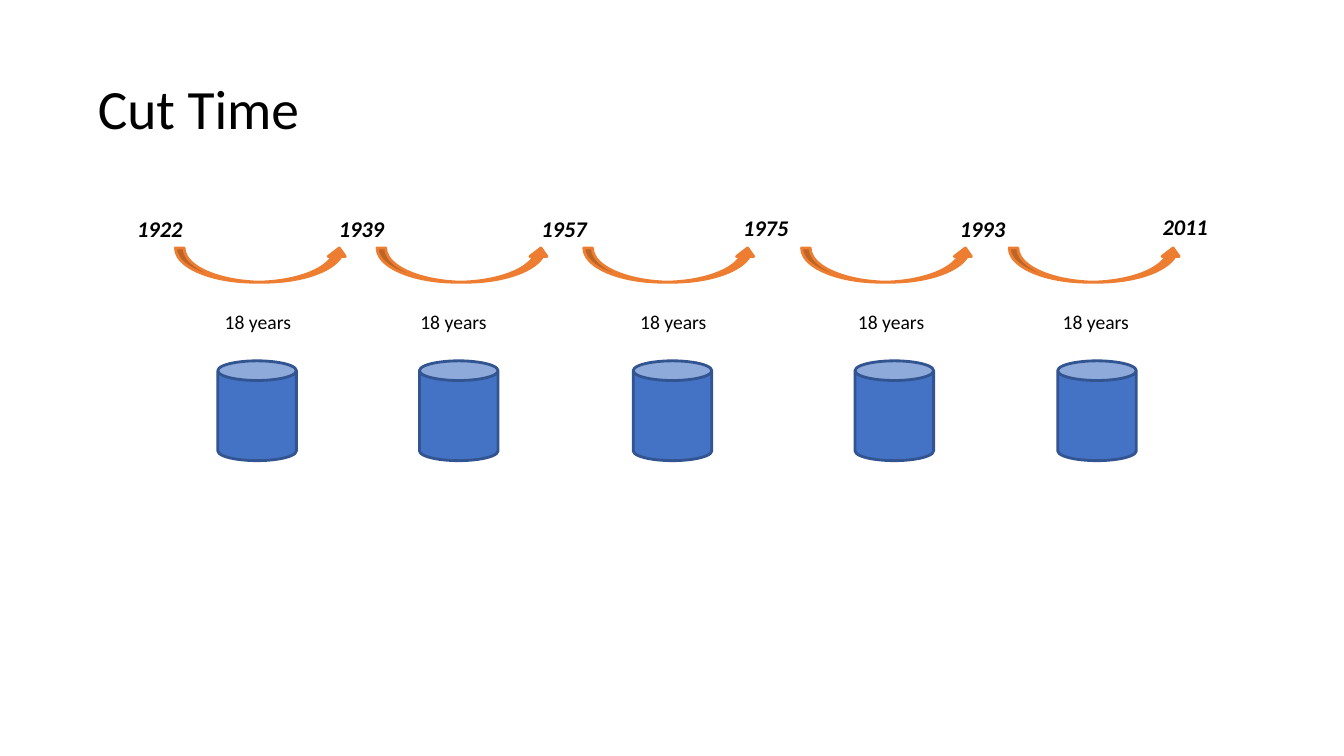
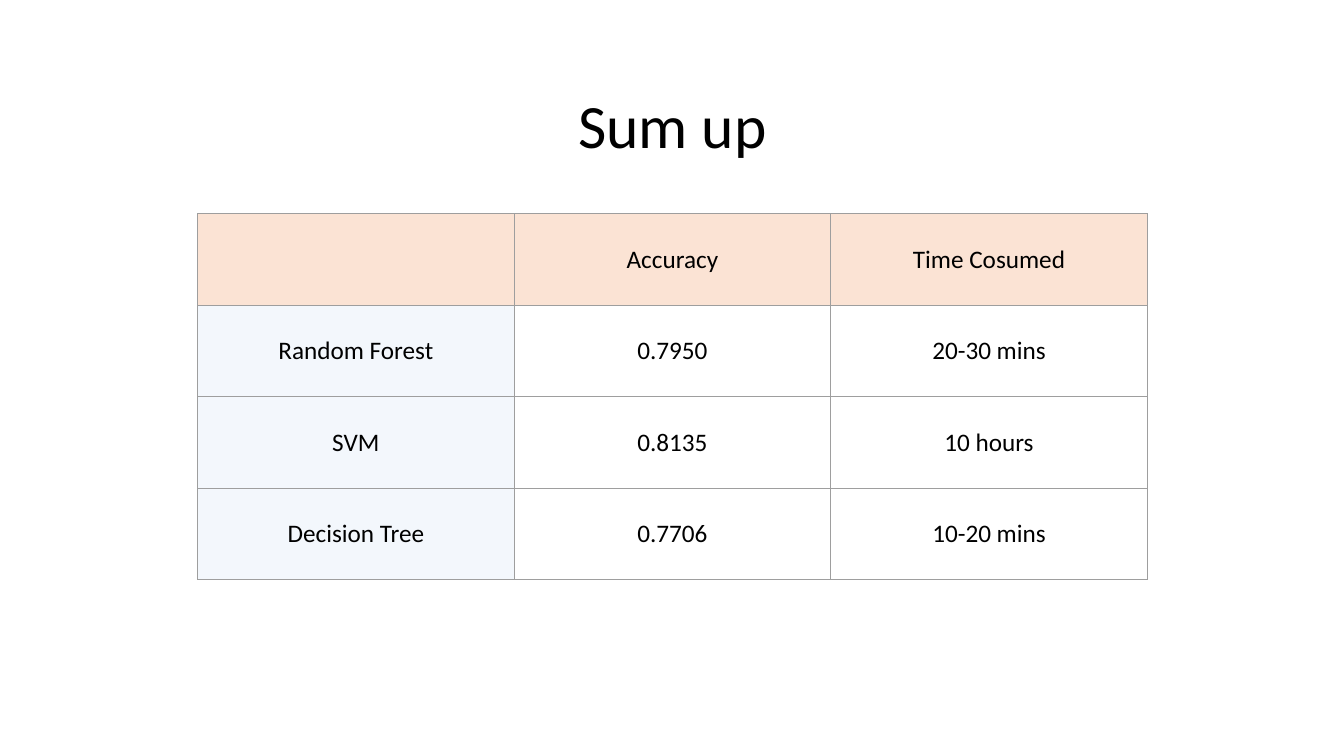
import pptx
import pptx.dml.color
import pptx.enum.shapes
import pptx.enum.text
import pptx.oxml
import pptx.util
from lxml import etree

Inches = pptx.util.Inches
Pt = pptx.util.Pt
MSO_SHAPE = pptx.enum.shapes.MSO_SHAPE
PP_ALIGN = pptx.enum.text.PP_ALIGN
MIDDLE = pptx.enum.text.MSO_ANCHOR.MIDDLE

FONT = "Calibri"
BLACK, ORANGE, BLUE, DARK_BLUE = "000000", "ED7D31", "4472C4", "325491"
PEACH, PALE_BLUE, GRID_GRAY = "F8CBAD", "DEEBF7", "9E9E9E"


def color(hex_value):
    return pptx.dml.color.RGBColor.from_string(hex_value)


def style_text(paragraph, text, size, align):
    paragraph.text = text
    paragraph.alignment = align
    paragraph.font.name = FONT
    paragraph.font.size = Pt(size)
    paragraph.font.color.rgb = color(BLACK)


deck = pptx.Presentation()
deck.slide_width = Inches(13.33)
deck.slide_height = Inches(7.5)

slides = []
for heading, box, size, align in [
    ("Cut Time", (0.87, 0.74, 6.39, 0.74), 39.6, PP_ALIGN.LEFT),
    ("Sum up", (0.92, 0.55, 11.5, 1.45), 44, PP_ALIGN.CENTER),
]:
    slide = deck.slides.add_slide(deck.slide_layouts[5])
    title = slide.shapes.title
    title.left, title.top, title.width, title.height = map(Inches, box)
    title.text_frame.auto_size = pptx.enum.text.MSO_AUTO_SIZE.NONE
    title.text_frame.vertical_anchor = MIDDLE
    style_text(title.text_frame.paragraphs[0], heading, size, align)
    title.text_frame.paragraphs[0].line_spacing = 0.9
    slides.append(slide)
timeline, summary = slides

# Timeline: years, then an arrow, a duration and a data store per period
years = [("1922", 1.1, 2.09), ("1939", 3.1, 2.09), ("1957", 5.11, 2.09),
         ("1975", 7.11, 2.08), ("1993", 9.26, 2.09), ("2011", 11.27, 2.07)]
for year, left, top in years:
    label = timeline.shapes.add_textbox(Inches(left), Inches(top), Inches(0.97), Inches(0.37))
    label.text_frame.word_wrap = True
    paragraph = label.text_frame.paragraphs[0]
    style_text(paragraph, year, 16, PP_ALIGN.CENTER)
    paragraph.font.bold = paragraph.font.italic = True

periods = [(1.74, 2.13, 2.16), (3.74, 4.07, 4.16), (5.79, 6.25, 6.28),
           (7.95, 8.41, 8.48), (10.01, 10.44, 10.49)]
for arrow_left, duration_left, store_left in periods:
    for preset, left, top, width, height, fill, line in [
        (MSO_SHAPE.CURVED_UP_ARROW, arrow_left, 2.46, 1.71, 0.34, ORANGE, ORANGE),
        (MSO_SHAPE.CAN, store_left, 3.58, 0.78, 0.99, BLUE, DARK_BLUE),
    ]:
        shape = timeline.shapes.add_shape(
            preset, Inches(left), Inches(top), Inches(width), Inches(height))
        shape.shadow.inherit = False
        shape.fill.solid()
        shape.fill.fore_color.rgb = color(fill)
        shape.line.color.rgb = color(line)
        shape.line.width = Pt(2)
    duration = timeline.shapes.add_textbox(
        Inches(duration_left), Inches(3.03), Inches(1.02), Inches(0.34))
    duration.text_frame.word_wrap = True
    style_text(duration.text_frame.paragraphs[0], "18 years", 14, PP_ALIGN.LEFT)

# Summary table
results = [
    ["", "Accuracy", "Time Cosumed"],
    ["Random Forest", "0.7950", "20-30 mins"],
    ["SVM", "0.8135", "10 hours"],
    ["Decision Tree", "0.7706", "10-20 mins"],
]
table = summary.shapes.add_table(
    len(results), len(results[0]), Inches(1.96), Inches(2.12), Inches(9.42), Inches(3.63)).table
table.first_row = table.horz_banding = False
for row, texts in enumerate(results):
    for column, text in enumerate(texts):
        cell = table.cell(row, column)
        cell.vertical_anchor = MIDDLE
        style_text(cell.text_frame.paragraphs[0], text, 18, PP_ALIGN.CENTER)
        properties = cell._tc.get_or_add_tcPr()
        for side in ("lnL", "lnR", "lnT", "lnB"):
            border = etree.SubElement(properties, pptx.oxml.ns.qn("a:" + side), w=str(Pt(0.75)))
            paint = etree.SubElement(border, pptx.oxml.ns.qn("a:solidFill"))
            etree.SubElement(paint, pptx.oxml.ns.qn("a:srgbClr"), val=GRID_GRAY)
        if row and column:
            cell.fill.background()
            continue
        tint, opacity = (PALE_BLUE, 36) if row else (PEACH, 52)
        cell.fill.solid()
        cell.fill.fore_color.rgb = color(tint)
        tint_element = properties.find(
            pptx.oxml.ns.qn("a:solidFill") + "/" + pptx.oxml.ns.qn("a:srgbClr"))
        etree.SubElement(tint_element, pptx.oxml.ns.qn("a:alpha"), val=str(opacity * 1000))

deck.save("out.pptx")
